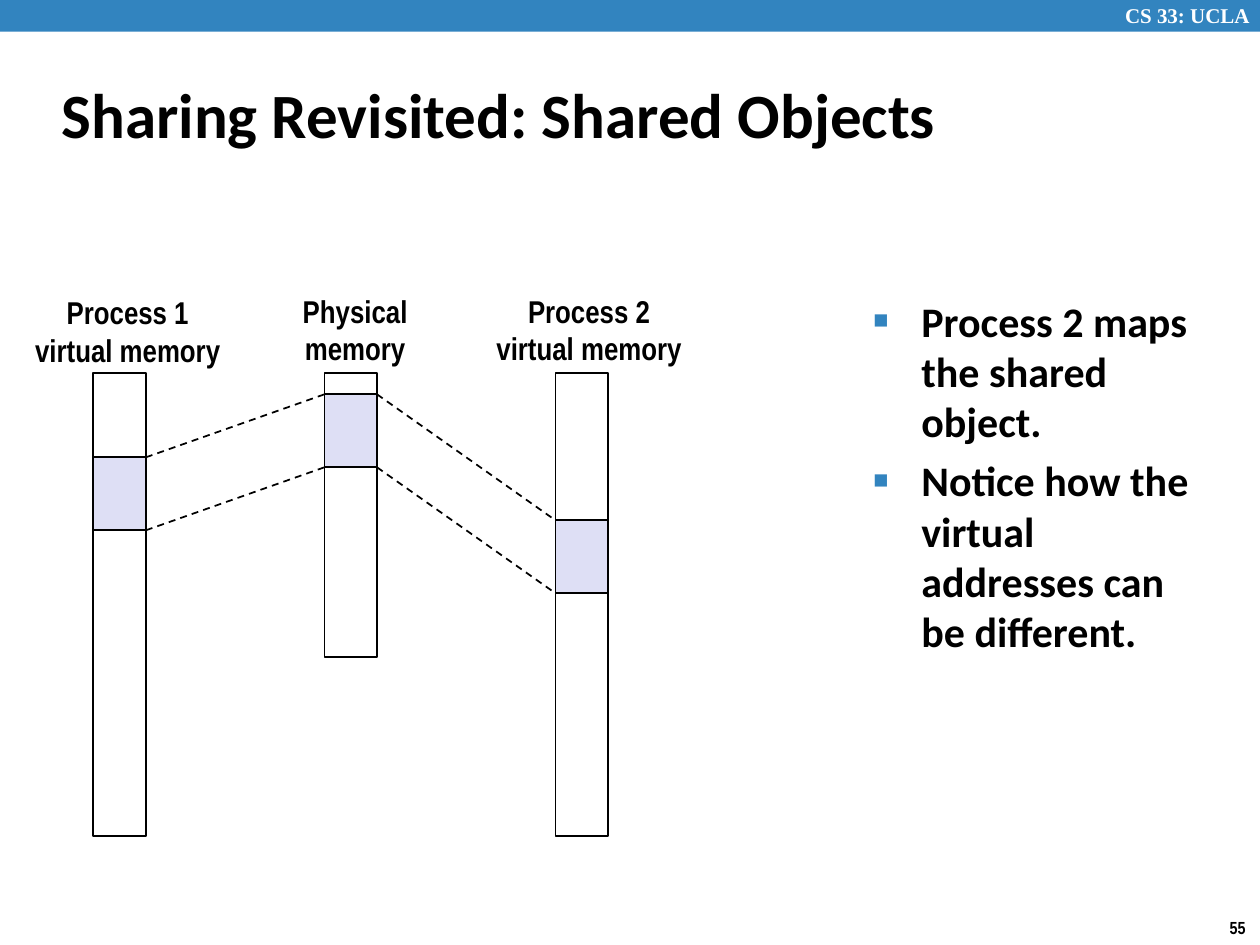
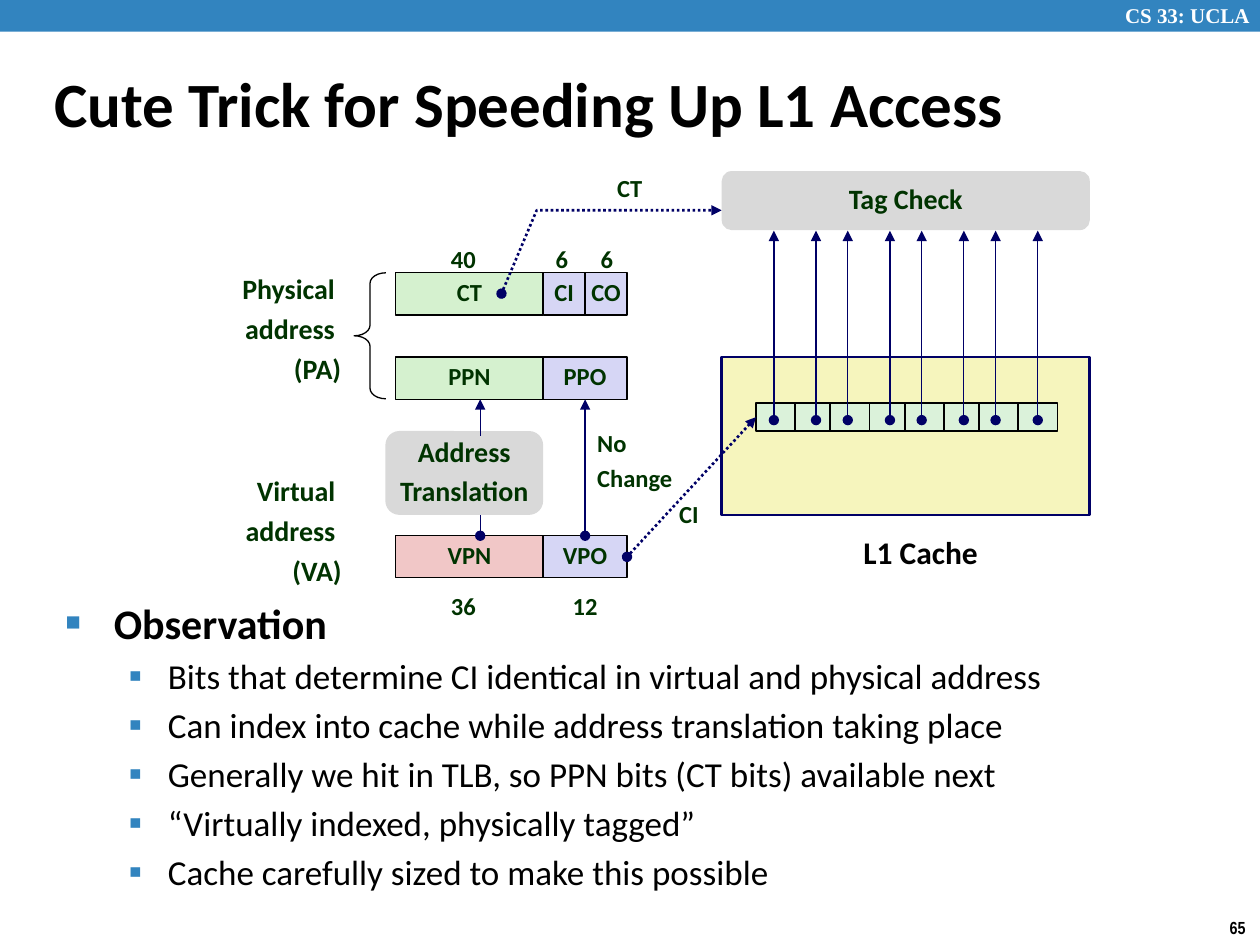
from dataclasses import dataclass
from typing import Any

from lxml import etree
from pptx import Presentation
from pptx.dml.color import RGBColor
from pptx.enum import dml, shapes, text
from pptx.oxml import ns
from pptx.util import Cm, Pt

BLUE = RGBColor(0x32, 0x84, 0xBF)
WHITE = RGBColor(0xFF, 0xFF, 0xFF)
BLACK = RGBColor(0x00, 0x00, 0x00)
NAVY = RGBColor(0x00, 0x00, 0x66)
DARK_GREEN = RGBColor(0x00, 0x33, 0x00)
GRAY = RGBColor(0xD9, 0xD9, 0xD9)
LAVENDER = RGBColor(0xDE, 0xDF, 0xF5)
LILAC = RGBColor(0xD6, 0xD6, 0xF5)
GREEN = RGBColor(0xD5, 0xF1, 0xCF)
MINT = RGBColor(0xDB, 0xF2, 0xDA)
PINK = RGBColor(0xF1, 0xC7, 0xC7)
YELLOW = RGBColor(0xF6, 0xF5, 0xBD)

BODY_FONT = "Calibri"
LABEL_FONT = "Arial Narrow"
BAND_FONT = "Times New Roman"

SLIDE_WIDTH, SLIDE_HEIGHT = 25.4, 19.05
LEFT, CENTER, RIGHT = text.PP_ALIGN.LEFT, text.PP_ALIGN.CENTER, text.PP_ALIGN.RIGHT
TOP, MIDDLE = text.MSO_ANCHOR.TOP, text.MSO_ANCHOR.MIDDLE
RECTANGLE = shapes.MSO_SHAPE.RECTANGLE
ROUNDED = shapes.MSO_SHAPE.ROUNDED_RECTANGLE

# Formats of the labels in the address diagram
FIELD = dict(size=14, color=DARK_GREEN, spacing=0.88, before=5.2)
CAPTION = dict(FIELD, size=16)
SIDE_NOTE = dict(CAPTION, before=6, align=RIGHT)


def write(frame, words, font=BODY_FONT, size=18, color=BLACK, bold=True, align=LEFT,
          anchor=TOP, wrap=True, spacing=None, before=0):
    """Fill a text frame, one paragraph for each line of words."""
    frame.word_wrap = wrap
    frame.auto_size = text.MSO_AUTO_SIZE.NONE
    frame.vertical_anchor = anchor
    for index, line in enumerate(words.split("\n")):
        para = frame.add_paragraph() if index else frame.paragraphs[0]
        para.alignment = align
        para.line_spacing = spacing
        para.space_before = Pt(before if index else 0)
        span = para.add_run()
        span.text = line
        format_span(span, font, size, color, bold)


def format_span(span, font, size, color, bold):
    span.font.name = font
    span.font.size = Pt(size)
    span.font.color.rgb = color
    span.font.bold = bold


def set_stroke(item, color, width, dash=None, head=None, tail=None):
    item.line.color.rgb = color
    item.line.width = Pt(width)
    if dash:
        item.line.dash_style = dash
    stroke = item._element.spPr.get_or_add_ln()
    for tag, kind in (("a:headEnd", head), ("a:tailEnd", tail)):
        if kind:
            etree.SubElement(stroke, ns.qn(tag), type=kind)


@dataclass
class Region:
    """Part of a page whose items are placed, in cm, from its top left corner."""
    page: Any
    left: float = 0
    top: float = 0

    def at(self, x, y):
        return Cm(self.left + x), Cm(self.top + y)

    def label(self, words, x, y, width, height, **style):
        box = self.page.shapes.add_textbox(*self.at(x, y), Cm(width), Cm(height))
        write(box.text_frame, words, **style)

    def box(self, x, y, width, height, fill=None, outline=None, weight=1.0,
            kind=RECTANGLE, words="", **style):
        box = self.page.shapes.add_shape(kind, *self.at(x, y), Cm(width), Cm(height))
        box.shadow.inherit = False
        if fill is None:
            box.fill.background()
        else:
            box.fill.solid()
            box.fill.fore_color.rgb = fill
        if outline is None:
            box.line.fill.background()
        else:
            set_stroke(box, outline, weight)
        if words:
            write(box.text_frame, words, align=CENTER, anchor=MIDDLE, wrap=False, **style)
        return box

    def line(self, start, end, color=NAVY, weight=0.75, **stroke):
        line = self.page.shapes.add_connector(
            shapes.MSO_CONNECTOR.STRAIGHT, *self.at(*start), *self.at(*end))
        set_stroke(line, color, weight, **stroke)
        etree.SubElement(line._element.spPr, ns.qn("a:effectLst"))
        return line

    def arrow(self, start, end, **stroke):
        return self.line(start, end, head="oval", tail="triangle", **stroke)


def move(item, left, top, width, height):
    item.left, item.top = Cm(left), Cm(top)
    item.width, item.height = Cm(width), Cm(height)


def add_page(deck, title, title_box, number):
    """Add a page with the course band, the title and the page number."""
    page = deck.slides.add_slide(deck.slide_layouts[1])
    frame = Region(page)
    frame.box(0, 0, SLIDE_WIDTH, 0.64, fill=BLUE)
    frame.label("CS 33: UCLA", 22.43, -0.08, 3.15, 0.76,
                font=BAND_FONT, size=12, color=WHITE)
    frame.label(number, 24.54, 18.36, 0.86, 0.69, font=LABEL_FONT, size=10, wrap=False)
    move(page.shapes.title, *title_box)
    write(page.shapes.title.text_frame, title, size=36, anchor=MIDDLE)
    return page


def add_bullet(para, symbol, percent, margin, hang):
    props = para._p.get_or_add_pPr()
    props.set("marL", str(Cm(margin)))
    props.set("indent", str(-Cm(hang)))
    color = etree.SubElement(props, ns.qn("a:buClr"))
    etree.SubElement(color, ns.qn("a:srgbClr"), val=str(BLUE))
    etree.SubElement(props, ns.qn("a:buSzPct"), val=str(percent * 1000))
    etree.SubElement(props, ns.qn("a:buChar"), char=symbol)


def fill_list(page, box, items):
    """Fill the body placeholder with (level, words) items."""
    body = page.placeholders[1]
    move(body, *box)
    frame = body.text_frame
    frame.auto_size = text.MSO_AUTO_SIZE.NONE
    frame.word_wrap = True
    for index, (level, words) in enumerate(items):
        para = frame.add_paragraph() if index else frame.paragraphs[0]
        para.level = level
        if level:
            add_bullet(para, "▪", 110, 2.06, 0.79)
        else:
            add_bullet(para, "■", 60, 0.97, 0.97)
        size = 20 if level else 24
        para.space_before = Pt(size * 0.2 if index else 0)
        span = para.add_run()
        span.text = words
        format_span(span, BODY_FONT, size, BLACK, not level)


def draw_memory_maps(page, left, top):
    region = Region(page, left, top)
    width, pitch, shared = 1.06, 4.66, 1.47
    full, physical = 9.33, 5.72
    # label, label left, label top, label width, memory height, shared object top
    columns = [
        ("Process 1\nvirtual memory", -1.45, -1.75, 4.29, full, 1.7),
        ("Physical\nmemory", 3.96, -1.78, 2.64, physical, 0.43),
        ("Process 2\nvirtual memory", 7.85, -1.78, 4.29, full, 2.97),
    ]
    for index, (name, x, y, label_width, height, offset) in enumerate(columns):
        region.box(index * pitch, 0, width, height, outline=BLACK)
        region.box(index * pitch, offset, width, shared, fill=LAVENDER, outline=BLACK)
        region.label(name, x, y, label_width, 1.8, font=LABEL_FONT,
                     align=CENTER, anchor=MIDDLE, wrap=False)
    offsets = [column[-1] for column in columns]
    for index, (near, far) in enumerate(zip(offsets, offsets[1:])):
        for edge in (0, shared):
            region.line((index * pitch + width, near + edge),
                        ((index + 1) * pitch, far + edge),
                        color=BLACK, weight=1, dash=dml.MSO_LINE.DASH)


def draw_address_row(region, y, fields):
    """Draw adjoining (words, width, fill) fields and return their boxes."""
    boxes, x = [], 0
    for words, width, fill in fields:
        boxes.append(region.box(x, y, width, 0.85, fill=fill, outline=BLACK,
                                weight=0.75, words=words, **FIELD))
        x += width
    return boxes


def draw_addresses(page, left, top):
    """Draw the translation from virtual to physical address; return the VPO box."""
    region = Region(page, left, top)
    number, offset = 2.97, 1.69
    draw_address_row(region, 0, [("CT", number, GREEN), ("CI", offset / 2, LILAC),
                                 ("CO", offset / 2, LILAC)])
    ppo = draw_address_row(region, 1.7, [("PPN", number, GREEN), ("PPO", offset, LILAC)])[1]
    vpo = draw_address_row(region, 5.3, [("VPN", number, PINK), ("VPO", offset, LILAC)])[1]

    for words, x, y in [("40", 0.86, -0.62), ("6", 2.97, -0.62), ("6", 3.88, -0.62),
                        ("36", 0.86, 6.36), ("CI", 5.46, 4.51), ("CT", 4.21, -2.05)]:
        region.label(words, x, y, 0.76 if words == "6" else 1.02, 0.79, wrap=False, **FIELD)
    region.label("12", number, 6.36, offset, 0.79, align=CENTER, **FIELD)
    region.label("No\nChange", 3.81, 3.09, 2.03, 1.5, wrap=False, **FIELD)
    region.label("Physical \naddress \n(PA)", -7.78, -0.06, 6.93, 2.49, **SIDE_NOTE)
    region.label("Virtual \naddress \n(VA)", -3.81, 4, 2.97, 2.49, **SIDE_NOTE)
    brace = region.box(-0.84, 0, 0.64, 2.54, outline=BLACK, weight=0.75,
                       kind=shapes.MSO_SHAPE.LEFT_BRACE)
    brace.adjustments[0] = 0.33

    region.arrow((1.7, 5.3), (1.7, 4.66))
    region.box(-0.21, 3.19, 3.18, 1.69, fill=GRAY, kind=ROUNDED,
               words="Address\nTranslation", **CAPTION)
    region.line((1.7, 3.29), (1.7, 2.55), tail="triangle")
    unchanged = region.arrow((3.81, 5.3), (3.81, 2.55))
    unchanged.begin_connect(vpo, 0)
    unchanged.end_connect(ppo, 2)

    builder = page.shapes.build_freeform(*region.at(2.13, 0.42))
    builder.add_line_segments([region.at(2.84, -1.26), region.at(6.57, -1.26)], close=False)
    tag_route = builder.convert_to_shape()
    tag_route.shadow.inherit = False
    tag_route.fill.background()
    set_stroke(tag_route, NAVY, 1.5, dash=dml.MSO_LINE.ROUND_DOT,
               head="oval", tail="triangle")
    return vpo


def draw_cache(page, left, top, vpo):
    """Draw the cache below its tag check, indexed from the VPO box."""
    region = Region(page, left, top)
    width, cell_width = 7.42, 0.79
    region.box(0, 3.75, width, 3.18, fill=YELLOW, outline=NAVY, weight=1.5)
    region.label("L1 Cache", 2.32, 7.17, 3.38, 1.02, align=CENTER)
    cells = [region.box(0.69 + 1.5 * pair + cell_width * half, 4.68, cell_width, 0.56,
                        fill=MINT, outline=BLACK)
             for pair in range(4) for half in range(2)]
    index_route = region.arrow((-1.9, 7.78), (0.69, 4.96), weight=1.5,
                               dash=dml.MSO_LINE.ROUND_DOT)
    index_route.begin_connect(vpo, 3)
    index_route.end_connect(cells[0], 1)
    for pair in range(4):
        for half in range(2):
            x = 1.05 + 1.49 * pair + 0.85 * half
            region.arrow((x, 5.02), (x, 1.2))
    region.box(0, 0, width, 1.19, fill=GRAY, kind=ROUNDED, words="Tag Check", **CAPTION)


def build_sharing_page(deck):
    page = add_page(deck, "Sharing Revisited: Shared Objects", (0.99, 1.22, 21.08, 2.11), "55")
    draw_memory_maps(page, 1.88, 7.52)
    fill_list(page, (17.35, 5.82, 7.37, 12.8), [
        (0, "Process 2 maps the shared object."),
        (0, "Notice how the virtual addresses can be different."),
    ])


def build_cache_page(deck):
    page = add_page(deck, "Cute Trick for Speeding Up L1 Access", (0.84, 1.27, 22.02, 1.6), "65")
    fill_list(page, (1.07, 11.91, 23.75, 6.5), [
        (0, "Observation"),
        (1, "Bits that determine CI identical in virtual and physical address"),
        (1, "Can index into cache while address translation taking place"),
        (1, "Generally we hit in TLB, so PPN bits (CT bits) available next"),
        (1, "“Virtually indexed, physically tagged”"),
        (1, "Cache carefully sized to make this possible"),
    ])
    vpo = draw_addresses(page, 7.98, 5.5)
    draw_cache(page, 14.55, 3.45, vpo)


def main():
    deck = Presentation()
    deck.slide_width, deck.slide_height = Cm(SLIDE_WIDTH), Cm(SLIDE_HEIGHT)
    build_sharing_page(deck)
    build_cache_page(deck)
    deck.save("out.pptx")


if __name__ == "__main__":
    main()
